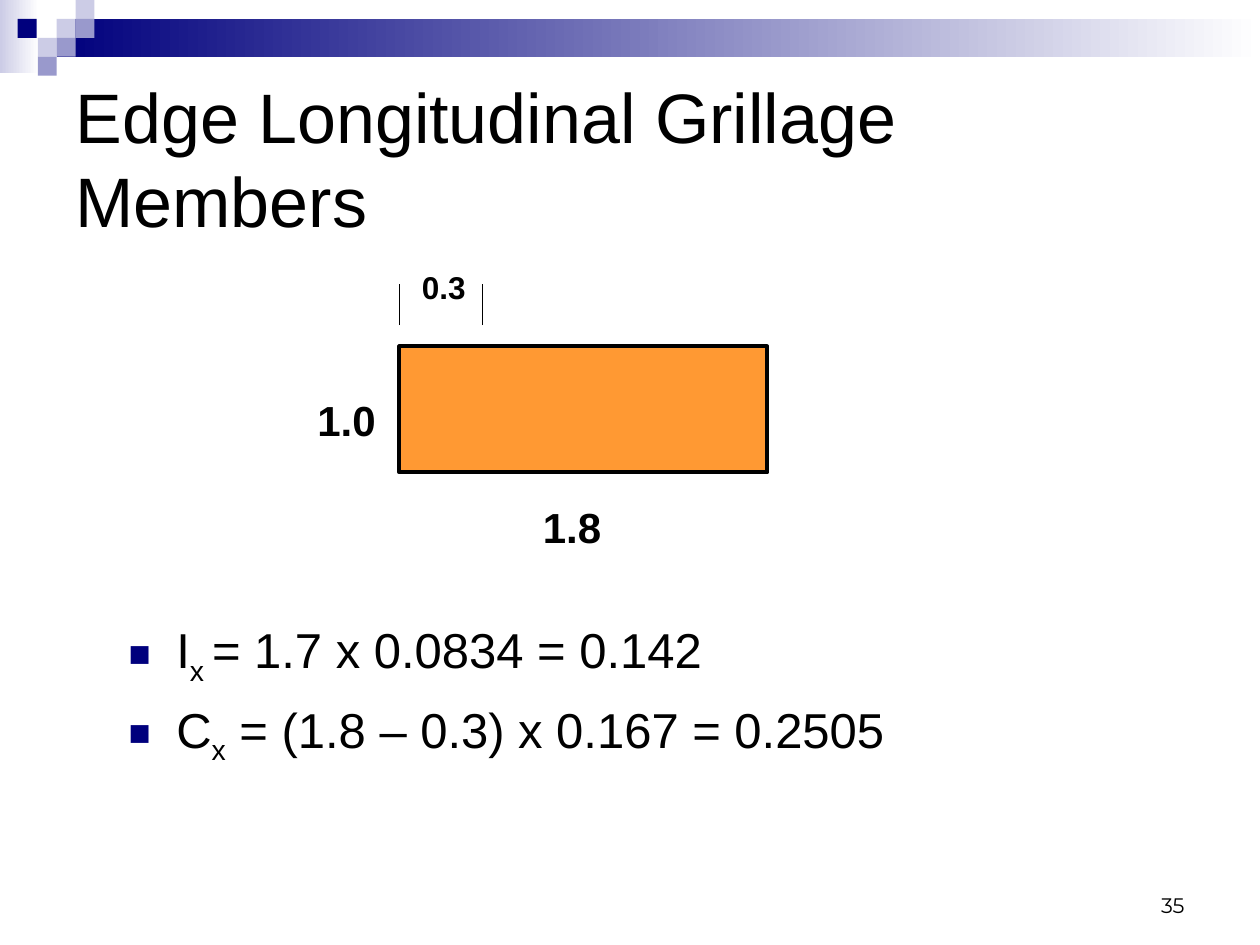
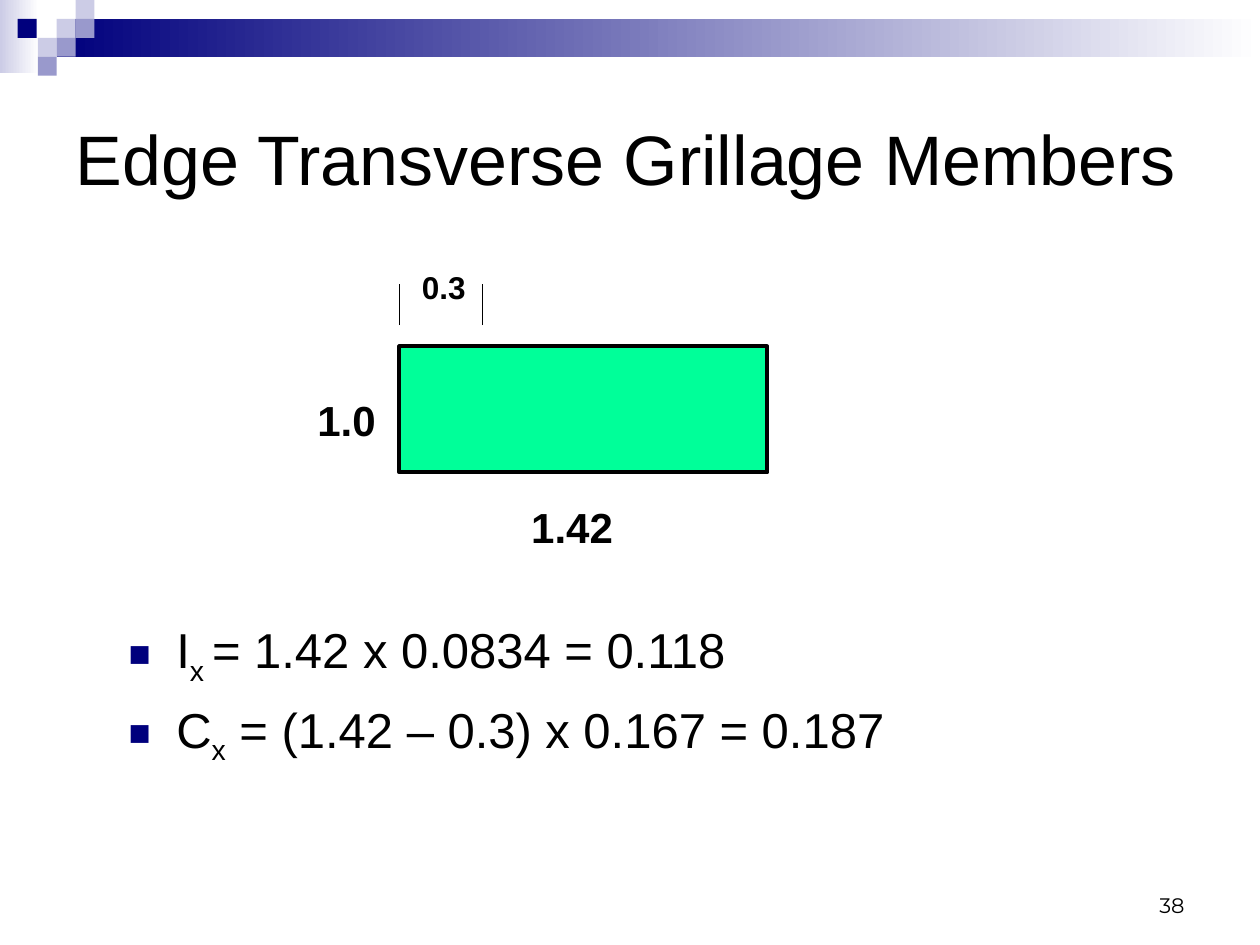
"""Builds two slides on the section properties of edge grillage members."""
from lxml.etree import SubElement
from pptx import Presentation
from pptx.dml.color import RGBColor
from pptx.enum.shapes import MSO_CONNECTOR, MSO_SHAPE
from pptx.enum.text import MSO_ANCHOR as ANCHOR, MSO_AUTO_SIZE as FIT, PP_ALIGN as ALIGN
from pptx.oxml.ns import qn
from pptx.util import Inches, Pt

BLACK, WHITE, NAVY, LILAC, VIOLET = "000000", "FFFFFF", "00007D", "CCCCE6", "9999CC"
BANDS = [(0, 0, 0.31, 0.58, LILAC), (0.45, 0.15, 9.55, 0.3, NAVY)]
SQUARE = 0.15
SQUARES = [(0.45, 0.15, LILAC), (0.6, 0, LILAC), (0.6, 0.15, VIOLET), (0.3, 0.3, LILAC),
           (0.14, 0.15, NAVY), (0.45, 0.3, VIOLET), (0.3, 0.45, VIOLET)]
BEAM_LEFT, OFFSET_RIGHT = 3.17, 3.83
MEMBERS = [
    ("Edge Longitudinal Grillage Members", "FF9933", "1.8",
     [("I", "x ", "= 1.7 x 0.0834 = 0.142"),
      ("C", "x", " = (1.8 – 0.3) x 0.167 = 0.2505")], "35"),
    ("Edge Transverse Grillage Members", "00FF99", "1.42",
     [("I", "x ", "= 1.42 x 0.0834 = 0.118"),
      ("C", "x", " = (1.42 – 0.3) x 0.167 = 0.187")], "38"),
]


def color(value):
    return RGBColor.from_string(value)


def style(para, size, name="Arial", bold=False, align=ALIGN.LEFT):
    para.alignment = align
    para.font.size, para.font.name, para.font.bold = Pt(size), name, bold
    para.font.color.rgb = color(BLACK)


deck = Presentation()
deck.slide_width, deck.slide_height = Inches(10), Inches(7.5)

for heading, beam_fill, width, formulas, number in MEMBERS:
    page = deck.slides.add_slide(deck.slide_layouts[1])

    for left, top, wide, high, shade in BANDS:
        band = page.shapes.add_shape(MSO_SHAPE.RECTANGLE, Inches(left), Inches(top),
                                     Inches(wide), Inches(high))
        band.shadow.inherit = False
        band.line.fill.background()
        band.fill.gradient()
        band.fill.gradient_angle = 0
        for stop, tone in zip(band.fill.gradient_stops, (shade, WHITE)):
            stop.color.rgb = color(tone)

    for left, top, shade in SQUARES:
        square = page.shapes.add_shape(MSO_SHAPE.RECTANGLE, Inches(left), Inches(top),
                                       Inches(SQUARE), Inches(SQUARE))
        square.shadow.inherit = False
        square.line.fill.background()
        square.fill.solid()
        square.fill.fore_color.rgb = color(shade)

    title = page.shapes.title
    title.left, title.top, title.width, title.height = map(Inches, (0.5, 0.5, 9, 1.5))
    title.text_frame.text = heading
    title.text_frame.auto_size = FIT.NONE
    title.text_frame.vertical_anchor = ANCHOR.MIDDLE
    style(title.text_frame.paragraphs[0], 40)

    body = page.placeholders[1]
    body.left, body.top, body.width, body.height = map(Inches, (0.92, 4.87, 8.58, 2.04))
    body.text_frame.auto_size = FIT.NONE
    for index, (symbol, subscript, value) in enumerate(formulas):
        para = body.text_frame.paragraphs[0] if index == 0 else body.text_frame.add_paragraph()
        props = para._p.get_or_add_pPr()
        props.set("marL", str(Inches(0.38)))
        props.set("indent", str(Inches(-0.38)))
        SubElement(SubElement(props, qn("a:buClr")), qn("a:srgbClr"), val=NAVY)
        SubElement(props, qn("a:buSzPct"), val="75000")
        SubElement(props, qn("a:buFont"), typeface="Arial")
        SubElement(props, qn("a:buChar"), char="■")
        para.space_before = Pt(7 if index else 0)
        style(para, 28)
        for text in (symbol, subscript, value):
            span = para.add_run()
            span.text = text
            if text == subscript:
                span._r.get_or_add_rPr().set("baseline", "-25000")

    beam = page.shapes.add_shape(MSO_SHAPE.RECTANGLE, Inches(BEAM_LEFT), Inches(2.75),
                                 Inches(2.92), Inches(1))
    beam.shadow.inherit = False
    beam.fill.solid()
    beam.fill.fore_color.rgb = color(beam_fill)
    beam.line.color.rgb = color(BLACK)
    beam.line.width = Pt(2.25)

    labels = [
        ("1.0", 2.42, 3.08, 0.75, 0.5, 24, "Arial", True, ALIGN.LEFT, ANCHOR.TOP),
        (width, 3.83, 3.93, 1.42, 0.5, 24, "Arial", True, ALIGN.CENTER, ANCHOR.TOP),
        ("0.3", 3.25, 2.08, 0.75, 0.4, 18, "Arial", True, ALIGN.LEFT, ANCHOR.TOP),
        (number, 7.17, 6.83, 2.33, 0.5, 12, "Montserrat", False, ALIGN.RIGHT, ANCHOR.BOTTOM),
    ]
    for text, left, top, wide, high, size, name, bold, align, anchor in labels:
        box = page.shapes.add_textbox(Inches(left), Inches(top), Inches(wide), Inches(high))
        box.text_frame.word_wrap = True
        box.text_frame.vertical_anchor = anchor
        box.text_frame.text = text
        style(box.text_frame.paragraphs[0], size, name, bold, align)

    for x in (BEAM_LEFT, OFFSET_RIGHT):
        tick = page.shapes.add_connector(MSO_CONNECTOR.STRAIGHT, Inches(x), Inches(2.58),
                                         Inches(x), Inches(2.25))
        tick.line.color.rgb = color(BLACK)
        tick.line.width = Pt(0.75)
        SubElement(tick._element.spPr, qn("a:effectLst"))

deck.save("out.pptx")
